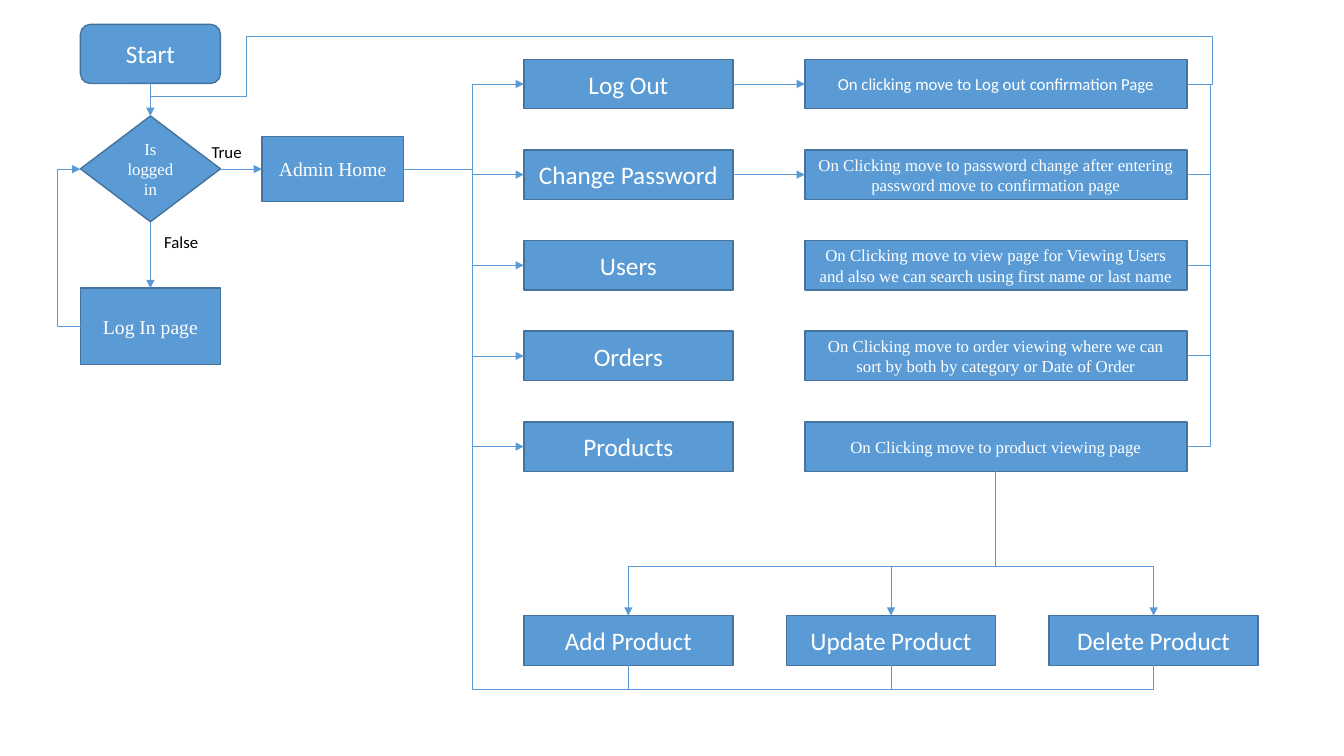
from dataclasses import dataclass
from typing import Any, Optional

from lxml import etree
from pptx import Presentation
from pptx import util as u
from pptx.dml import color
from pptx.enum import shapes, text
from pptx.oxml import ns


@dataclass(frozen=True)
class Theme:
    fill: color.RGBColor = color.RGBColor(0x5B, 0x9B, 0xD5)
    outline: color.RGBColor = color.RGBColor(0x43, 0x73, 0x9E)
    light: color.RGBColor = color.RGBColor(0xFF, 0xFF, 0xFF)
    dark: color.RGBColor = color.RGBColor(0, 0, 0)
    sans: str = "Calibri"
    serif: str = "Times New Roman"
    large: float = 18
    medium: float = 14
    small: float = 12
    outline_width: float = 1
    connector_width: float = 0.5


THEME = Theme()
PROCESS = shapes.MSO_SHAPE.FLOWCHART_PROCESS
DECISION = shapes.MSO_SHAPE.FLOWCHART_DECISION
TERMINAL = shapes.MSO_SHAPE.FLOWCHART_ALTERNATE_PROCESS
Point = tuple[float, float]


@dataclass(frozen=True)
class Node:
    words: str
    left: float
    top: float
    width: float
    height: float
    size: float = THEME.large
    font: str = THEME.sans
    kind: Any = PROCESS


@dataclass(frozen=True)
class Label:
    words: str
    left: float
    top: float
    width: float
    height: float


@dataclass(frozen=True)
class Link:
    start: Point
    end: Point
    arrow: bool = False
    preset: str = "line"
    bend: Optional[float] = None
    quarter_turn: bool = False


def set_values(target: Any, values: dict[str, Any]) -> None:
    for name, value in values.items():
        setattr(target, name, value)


def write_text(shape: Any, words: str, frame_format: dict[str, Any], alignment: Any,
               font: str, size: float, colour: color.RGBColor) -> None:
    frame = shape.text_frame
    set_values(frame, {"word_wrap": True, **frame_format})
    paragraph = frame.paragraphs[0]
    paragraph.alignment = alignment
    run = paragraph.add_run()
    run.text = words
    set_values(run.font, {"name": font, "size": u.Pt(size)})
    run.font.color.rgb = colour


def draw_node(slide: Any, node: Node) -> None:
    box = map(u.Pt, (node.left, node.top, node.width, node.height))
    shape = slide.shapes.add_shape(node.kind, *box)
    shape.shadow.inherit = False
    shape.fill.solid()
    shape.fill.fore_color.rgb = THEME.fill
    shape.line.color.rgb = THEME.outline
    shape.line.width = u.Pt(THEME.outline_width)
    write_text(shape, node.words, {"vertical_anchor": text.MSO_ANCHOR.MIDDLE},
               text.PP_ALIGN.CENTER, node.font, node.size, THEME.light)


def draw_label(slide: Any, label: Label) -> None:
    box = map(u.Pt, (label.left, label.top, label.width, label.height))
    shape = slide.shapes.add_textbox(*box)
    write_text(shape, label.words, {"auto_size": text.MSO_AUTO_SIZE.SHAPE_TO_FIT_TEXT},
               text.PP_ALIGN.LEFT, THEME.sans, THEME.small, THEME.dark)


def turn_back(point: Point, centre: Point) -> Point:
    across, down = point[0] - centre[0], point[1] - centre[1]
    return centre[0] + down, centre[1] - across


def draw_link(slide: Any, link: Link) -> None:
    start, end = link.start, link.end
    if link.quarter_turn:
        centre = ((start[0] + end[0]) / 2, (start[1] + end[1]) / 2)
        start, end = turn_back(start, centre), turn_back(end, centre)
    kind = shapes.MSO_CONNECTOR.STRAIGHT if link.preset == "line" else shapes.MSO_CONNECTOR.ELBOW
    connector = slide.shapes.add_connector(kind, *map(u.Pt, (*start, *end)))
    connector.line.color.rgb = THEME.fill
    connector.line.width = u.Pt(THEME.connector_width)
    properties = connector._element.spPr
    geometry = properties.find(ns.qn("a:prstGeom"))
    geometry.set("prst", link.preset)
    if link.bend is not None:
        guides = geometry.find(ns.qn("a:avLst"))
        etree.SubElement(guides, ns.qn("a:gd"), name="adj1", fmla=f"val {round(link.bend * 100000)}")
    if link.quarter_turn:
        properties.find(ns.qn("a:xfrm")).set("rot", "5400000")
    if link.arrow:
        etree.SubElement(properties.find(ns.qn("a:ln")), ns.qn("a:tailEnd"), type="triangle")
    etree.SubElement(properties, ns.qn("a:effectLst"))


MENU = [
    ("Log Out", "On clicking move to Log out confirmation Page"),
    ("Change Password", "On Clicking move to password change after entering password move to confirmation page"),
    ("Users", "On Clicking move to view page for Viewing Users and also we can search using first name or last name"),
    ("Orders", "On Clicking move to order viewing where we can sort by both by category or Date of Order"),
    ("Products", "On Clicking move to product viewing page"),
]
PRODUCT_ACTIONS = ["Add Product", "Update Product", "Delete Product"]

BOX_WIDTH, BOX_HEIGHT = 149.3, 35.4
MENU_LEFT, MENU_TOP, ROW_PITCH = 374.2, 42.3, 64.75
MENU_RIGHT = MENU_LEFT + BOX_WIDTH
DETAIL_LEFT, DETAIL_WIDTH = 575, 272.8
DETAIL_RIGHT = DETAIL_LEFT + DETAIL_WIDTH
ACTION_TOP, ACTION_PITCH = 439.8, 187.6
ACTION_BOTTOM = ACTION_TOP + BOX_HEIGHT
BRANCH_Y, RETURN_Y = 404.6, 492.4
MENU_BUS_X, RETURN_BUS_X = 337.6, 864.8
START_X, LOGIN_Y = 107.4, 120.8
ROW_CENTRES = [MENU_TOP + BOX_HEIGHT / 2 + row * ROW_PITCH for row in range(len(MENU))]
ACTION_CENTRES = [MENU_LEFT + BOX_WIDTH / 2 + column * ACTION_PITCH for column in range(len(PRODUCT_ACTIONS))]

LOGIN_NODES = [
    Node("Start", 57.5, 17.4, 100, 42.2, kind=TERMINAL),
    Node("Is logged in", 57.5, 82.8, 100, 75.6, THEME.small, THEME.serif, DECISION),
    Node("Admin Home", 187.1, 97.6, 101, 46.2, THEME.medium, THEME.serif),
    Node("Log In page", 57.5, 205.8, 100, 54.6, THEME.medium, THEME.serif),
]
LABELS = [Label("True", 144, 98, 43, 21.8), Label("False", 110.2, 162.2, 68, 21.8)]
LINKS = [
    Link((START_X, 59.6), (START_X, 82.8), True),
    Link((START_X, 158.4), (START_X, 205.8), True),
    Link((157.5, LOGIN_Y), (187.1, LOGIN_Y), True),
    Link((58.3, 233.2), (57.5, LOGIN_Y), True, "bentConnector3", 21.5),
    Link((288.1, LOGIN_Y), (MENU_BUS_X, LOGIN_Y)),
    Link((MENU_BUS_X, ROW_CENTRES[0]), (MENU_BUS_X, ROW_CENTRES[-1])),
    Link((DETAIL_RIGHT, ROW_CENTRES[0]), (244.8, 26.2), preset="bentConnector3", bend=-0.03),
    Link((244.8, 26.2), (START_X, 68.8), preset="bentConnector3"),
    Link((711, ROW_CENTRES[-1] + BOX_HEIGHT / 2), (711, BRANCH_Y)),
    Link((ACTION_CENTRES[0], BRANCH_Y), (ACTION_CENTRES[-1], BRANCH_Y)),
    Link((ACTION_CENTRES[0], ACTION_BOTTOM), (MENU_BUS_X, ROW_CENTRES[-1]),
         preset="bentConnector3", bend=-0.11, quarter_turn=True),
    Link((ACTION_CENTRES[1], ACTION_BOTTOM), (439.2, RETURN_Y), preset="bentConnector2", quarter_turn=True),
    Link((ACTION_CENTRES[2], ACTION_BOTTOM), (ACTION_CENTRES[1], RETURN_Y),
         preset="bentConnector2", quarter_turn=True),
]


def menu_parts() -> tuple[list[Node], list[Link]]:
    nodes, links = [], []
    for row, ((name, detail), centre) in enumerate(zip(MENU, ROW_CENTRES)):
        top = centre - BOX_HEIGHT / 2
        detail_font = THEME.serif if row else THEME.sans
        nodes.append(Node(name, MENU_LEFT, top, BOX_WIDTH, BOX_HEIGHT))
        nodes.append(Node(detail, DETAIL_LEFT, top, DETAIL_WIDTH, BOX_HEIGHT, THEME.small, detail_font))
        links.append(Link((MENU_BUS_X, centre), (MENU_LEFT, centre), True))
        if row < 2:
            links.append(Link((MENU_RIGHT, centre), (DETAIL_LEFT, centre), True))
        if row:
            links.append(Link((DETAIL_RIGHT, centre), (RETURN_BUS_X, ROW_CENTRES[row - 1]),
                              preset="bentConnector2"))
    return nodes, links


def action_parts() -> tuple[list[Node], list[Link]]:
    nodes = [Node(name, centre - BOX_WIDTH / 2, ACTION_TOP, BOX_WIDTH, BOX_HEIGHT)
             for name, centre in zip(PRODUCT_ACTIONS, ACTION_CENTRES)]
    links = [Link((centre, BRANCH_Y), (centre, ACTION_TOP), True) for centre in ACTION_CENTRES]
    return nodes, links


def main() -> None:
    presentation = Presentation()
    set_values(presentation, {"slide_width": u.Pt(960), "slide_height": u.Pt(540)})
    slide = presentation.slides.add_slide(presentation.slide_layouts[6])
    menu_nodes, menu_links = menu_parts()
    action_nodes, action_links = action_parts()
    for node in LOGIN_NODES + menu_nodes + action_nodes:
        draw_node(slide, node)
    for link in LINKS + menu_links + action_links:
        draw_link(slide, link)
    for label in LABELS:
        draw_label(slide, label)
    presentation.save("out.pptx")


if __name__ == "__main__":
    main()
